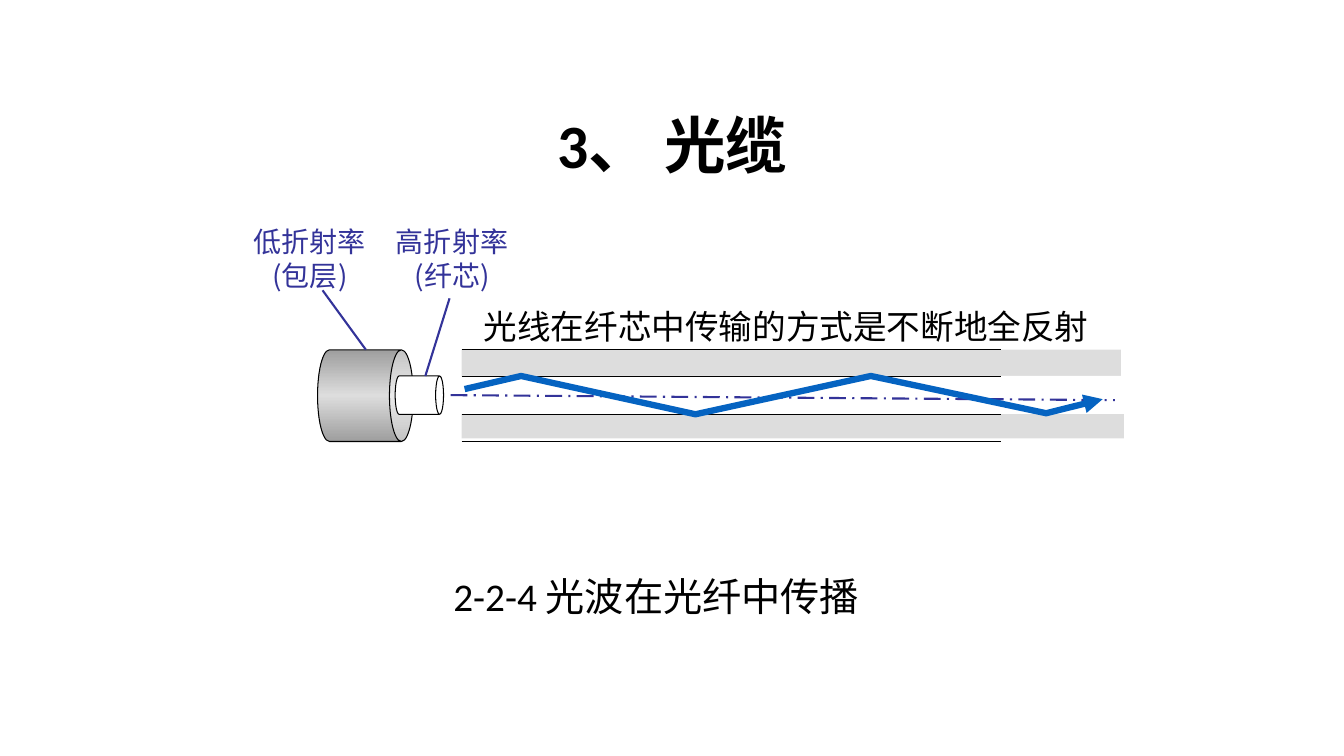
"""Build a slide showing how light travels through an optical fibre."""
from copy import deepcopy

from lxml import etree
from pptx import Presentation
from pptx.dml.color import RGBColor
from pptx.enum.dml import MSO_LINE
from pptx.enum.shapes import MSO_CONNECTOR, MSO_SHAPE
from pptx.enum.text import MSO_ANCHOR, MSO_AUTO_SIZE, PP_ALIGN
from pptx.oxml.ns import qn
from pptx.util import Pt

STRAIGHT = MSO_CONNECTOR.STRAIGHT
RECTANGLE, CAN = MSO_SHAPE.RECTANGLE, MSO_SHAPE.CAN
CENTER, LEFT = PP_ALIGN.CENTER, PP_ALIGN.LEFT
TOP, BOTTOM = MSO_ANCHOR.TOP, MSO_ANCHOR.BOTTOM
DASH_DOT = MSO_LINE.LONG_DASH_DOT

COLORS = {"black": "000000", "white": "FFFFFF", "cladding": "DDDDDD",
          "shade": "9E9E9E", "label": "333399", "ray": "0563C1"}
LATIN, CHINESE = "Calibri", "Noto Sans CJK SC"

TITLE = ("3、 光缆", (66.24, 28.8, 828, 104.4))
CAPTION = ("2-2-4 光波在光纤中传播", (54.72, 342, 828, 104.4))
LABELS = [
    (["高折射率", "(纤芯)"], (275.76, 156.96, 94.32, 55.44), 20, "label", CENTER),
    (["低折射率", "(包层)"], (174.24, 156.96, 94.32, 55.44), 20, "label", CENTER),
    (["光线在纤芯中传输的方式是不断地全反射"],
     (338.4, 215.28, 450.72, 36), 24, "black", LEFT),
]
FIBER_LEFT, EDGE_RIGHT = 329.76, 714.96
LAYERS = [(249.84, 470.88, 18.72, "cladding"), (268.56, 472.32, 27.36, "white"),
          (295.92, 473.04, 17.28, "cladding")]
EDGE_TOPS = [249.84, 269.28, 295.92, 315.36]
CLADDING_CAN = ((228.24, 248.4, 65.52, 68.4), 0.26)
CORE_CAN = ((285.84, 264.96, 27.36, 34.56), 0.207)
AXIS = (321.84, 282.24, 796.32, 285.84)
LEADERS = [(321.12, 213.12, 303.84, 268.56), (230.4, 207.36, 261.36, 249.84)]
RAY = [(331.92, 277.92), (372.24, 268.56), (496.8, 295.92),
       (622.08, 268.56), (747.36, 295.2), (787.68, 285.12)]


def color(name):
    return RGBColor.from_string(COLORS[name])


def points(values):
    return [Pt(value) for value in values]


def style_line(line, name, width):
    line.color.rgb = color(name)
    line.width = Pt(width)


def add_line(slide, ends, name, width):
    connector = slide.shapes.add_connector(STRAIGHT, *points(ends))
    style_line(connector.line, name, width)
    etree.SubElement(connector._element.spPr, qn("a:effectLst"))
    return connector


def add_filled(slide, kind, box, fill):
    shape = slide.shapes.add_shape(kind, *points(box))
    shape.shadow.inherit = False
    shape.fill.solid()
    shape.fill.fore_color.rgb = color(fill)
    shape.line.fill.background()
    return shape


def add_can(slide, box, depth):
    can = add_filled(slide, CAN, box, "white")
    can.rotation = 90
    can.adjustments[0] = depth
    style_line(can.line, "black", 0.75)
    return can


def shade_can(can):
    can.fill.gradient()
    can.fill.gradient_angle = 0
    stop_list = can._element.spPr.find(qn("a:gradFill")).find(qn("a:gsLst"))
    stop_list.append(deepcopy(stop_list[-1]))
    shades = [(0, "shade"), (0.5, "cladding"), (1, "shade")]
    for stop, (position, name) in zip(can.fill.gradient_stops, shades):
        stop.position = position
        stop.color.rgb = color(name)


def write(shape, lines, size, font, name, align, anchor=TOP, bold=False, spacing=None):
    frame = shape.text_frame
    frame.text = "\n".join(lines)
    frame.vertical_anchor = anchor
    for paragraph in frame.paragraphs:
        paragraph.alignment = align
        paragraph.line_spacing = spacing
        paragraph.font.size = Pt(size)
        paragraph.font.name = font
        paragraph.font.bold = bold
        paragraph.font.color.rgb = color(name)


def add_headings(slide):
    text, box = TITLE
    title = slide.shapes.title
    title.left, title.top, title.width, title.height = points(box)
    title.text_frame.auto_size = MSO_AUTO_SIZE.NONE
    write(title, [text], 44, LATIN, "black", CENTER, BOTTOM, True, 0.9)
    text, box = CAPTION
    caption = slide.shapes.add_textbox(*points(box))
    caption.text_frame.word_wrap = True
    write(caption, [text], 28, LATIN, "black", CENTER, BOTTOM, False, 0.9)


def add_fiber(slide):
    for top, width, height, fill in LAYERS:
        add_filled(slide, RECTANGLE, (FIBER_LEFT, top, width, height), fill)
    shade_can(add_can(slide, *CLADDING_CAN))
    add_can(slide, *CORE_CAN)
    for top in EDGE_TOPS:
        add_line(slide, (FIBER_LEFT, top, EDGE_RIGHT, top), "black", 0.75)
    add_line(slide, AXIS, "label", 1.5).line.dash_style = DASH_DOT


def add_labels(slide):
    for lines, box, size, name, align in LABELS:
        label = slide.shapes.add_textbox(*points(box))
        label.text_frame.word_wrap = False
        label.text_frame.auto_size = MSO_AUTO_SIZE.SHAPE_TO_FIT_TEXT
        write(label, lines, size, CHINESE, name, align)
    for ends in LEADERS:
        add_line(slide, ends, "label", 1.5)


def add_ray(slide):
    start, *bends = [points(point) for point in RAY]
    builder = slide.shapes.build_freeform(*start)
    builder.add_line_segments(bends, close=False)
    ray = builder.convert_to_shape()
    ray.shadow.inherit = False
    ray.fill.background()
    style_line(ray.line, "ray", 4.5)
    outline = ray._element.spPr.find(qn("a:ln"))
    etree.SubElement(outline, qn("a:tailEnd"), type="triangle")


def main():
    presentation = Presentation()
    presentation.slide_width, presentation.slide_height = Pt(960), Pt(540)
    slide = presentation.slides.add_slide(presentation.slide_layouts[5])
    add_headings(slide)
    add_fiber(slide)
    add_labels(slide)
    add_ray(slide)
    presentation.save("out.pptx")


if __name__ == "__main__":
    main()
